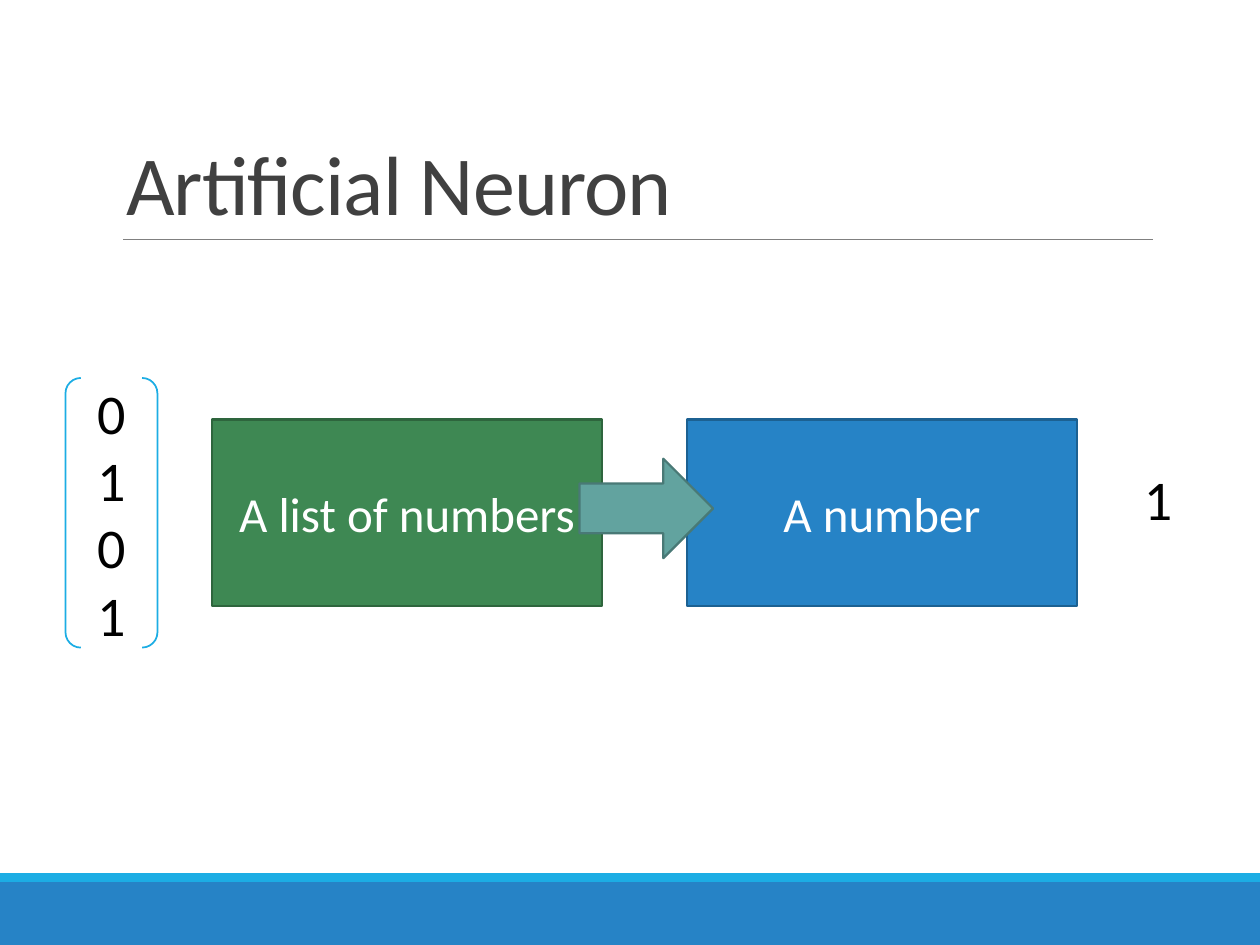
from lxml.etree import SubElement
from pptx import Presentation
from pptx.dml.color import RGBColor
from pptx.enum.shapes import MSO_CONNECTOR, MSO_SHAPE as Kind
from pptx.enum.text import MSO_ANCHOR as Anchor, MSO_AUTO_SIZE as Fit, PP_ALIGN as Align
from pptx.oxml.ns import qn
from pptx.util import Inches, Pt

BLUE, CYAN = "2683C6", "1CADE4"


def color(code):
    return RGBColor.from_string(code)


def write(shape, lines, size, code, align, anchor):
    frame = shape.text_frame
    frame.text = "\n".join(lines)
    frame.vertical_anchor = anchor
    for par in frame.paragraphs:
        par.alignment = align
        par.font.name = "Calibri"
        par.font.size = Pt(size)
        par.font.color.rgb = color(code)
    return frame


def add_shape(slide, kind, box, fill=None, edge=None, width=1.25):
    shape = slide.shapes.add_shape(kind, *map(Inches, box))
    shape.shadow.inherit = False
    if fill:
        shape.fill.solid()
        shape.fill.fore_color.rgb = color(fill)
    else:
        shape.fill.background()
    if edge:
        shape.line.color.rgb = color(edge)
        shape.line.width = Pt(width)
    else:
        shape.line.fill.background()
    return shape


def add_rule(slide, left, right, y):
    rule = slide.shapes.add_connector(
        MSO_CONNECTOR.STRAIGHT, Inches(left), Inches(y), Inches(right), Inches(y))
    rule.line.color.rgb = color("808080")
    rule.line.width = Pt(0.5)
    SubElement(rule._element.spPr, qn("a:effectLst"))


def set_title(slide, text):
    title = slide.shapes.title
    title.left, title.top, title.width, title.height = map(Inches, (0.9, 0.31, 8.25, 1.59))
    frame = write(title, [text], 48, "404040", Align.LEFT, Anchor.BOTTOM)
    frame.auto_size = Fit.NONE
    par = frame.paragraphs[0]
    par.line_spacing = 0.85
    par.runs[0]._r.get_or_add_rPr().set("spc", "-50")


def add_stage(slide, left, text, fill, edge):
    stage = add_shape(slide, Kind.RECTANGLE, (left, 3.33, 3.1, 1.48), fill, edge)
    write(stage, [text], 28, "FFFFFF", Align.CENTER, Anchor.MIDDLE)


def add_vector(slide, values):
    vector = add_shape(slide, Kind.DOUBLE_BRACKET, (0.52, 3, 0.73, 2.14), edge=CYAN, width=1)
    write(vector, values, 32, "000000", Align.CENTER, Anchor.MIDDLE)


def add_result(slide, value):
    box = slide.shapes.add_textbox(*map(Inches, (8.98, 3.64, 0.45, 0.64)))
    frame = write(box, [value], 32, "000000", Align.LEFT, Anchor.TOP)
    frame.word_wrap = False
    frame.auto_size = Fit.SHAPE_TO_FIT_TEXT


def main():
    deck = Presentation()
    deck.slide_width, deck.slide_height = Inches(10), Inches(7.5)
    slide = deck.slides.add_slide(deck.slide_layouts[5])
    add_shape(slide, Kind.RECTANGLE, (0, 7, 10, 0.5), BLUE)
    add_shape(slide, Kind.RECTANGLE, (0, 6.93, 10, 0.07), CYAN)
    add_rule(slide, 0.98, 9.15, 1.9)
    set_title(slide, "Artificial Neuron")
    add_stage(slide, 1.68, "A list of numbers", "3E8853", "2E653D")
    add_stage(slide, 5.45, "A number", BLUE, "1C6192")
    add_shape(slide, Kind.RIGHT_ARROW, (4.6, 3.64, 1.06, 0.79), "62A39F", "497976")
    add_vector(slide, "0101")
    add_result(slide, "1")
    deck.save("out.pptx")


if __name__ == "__main__":
    main()
